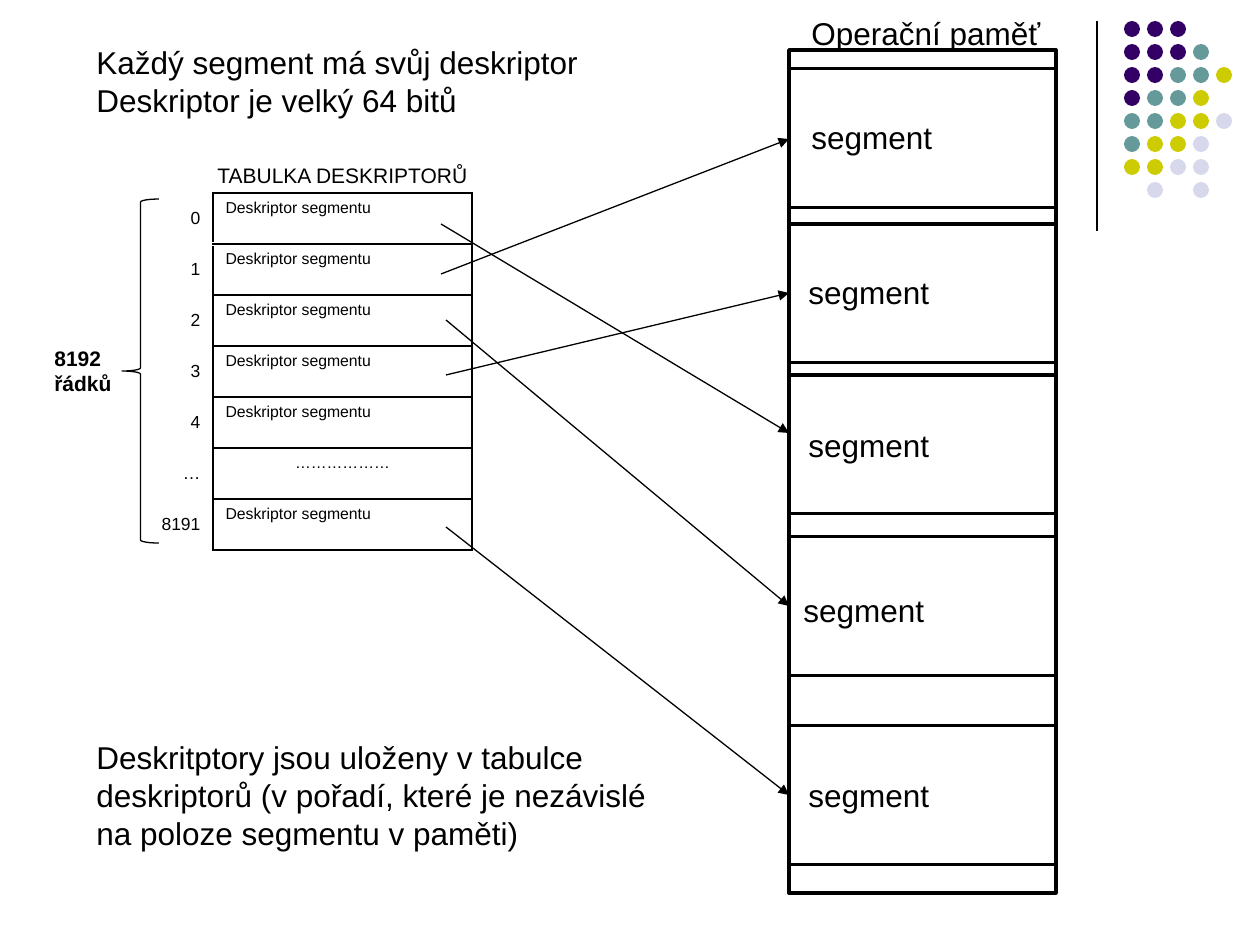
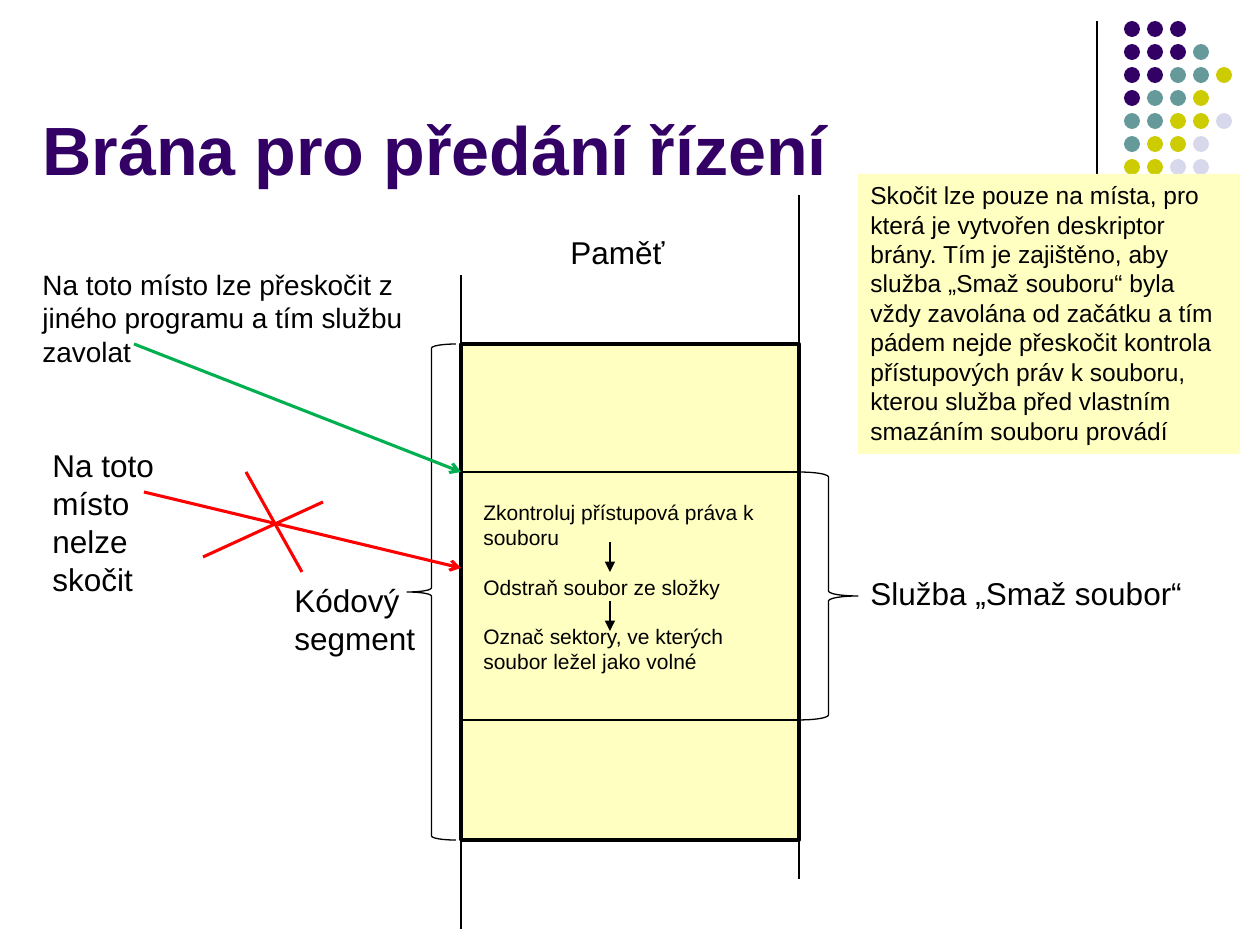
import pptx
import pptx.util
import pptx.dml.color
import pptx.enum.shapes
import pptx.enum.text
import pptx.oxml
import pptx.oxml.ns
from lxml import etree

EMU_PER_PX = 914400 / 126
FONT = "Arial"
COLORS = {
    "ink": "000000",
    "white": "FFFFFF",
    "violet": "330066",
    "teal": "669999",
    "lime": "CCCC00",
    "lilac": "D8D8EC",
    "cream": "FFFFC2",
    "green": "00B050",
    "red": "FF0000",
}
SHAPES = pptx.enum.shapes.MSO_SHAPE
ALIGN = pptx.enum.text.PP_ALIGN
ANCHOR = pptx.enum.text.MSO_ANCHOR
RGB = pptx.dml.color.RGBColor.from_string
qn = pptx.oxml.ns.qn
scale = lambda px: pptx.util.Emu(round(px * EMU_PER_PX))


def add_line(page, start, end, color="ink", width=0.75, head=None):
    line = page.shapes.add_connector(
        pptx.enum.shapes.MSO_CONNECTOR.STRAIGHT, *map(scale, start + end)
    )
    line.line.color.rgb = RGB(COLORS[color])
    line.line.width = pptx.util.Pt(width)
    if head:
        etree.SubElement(line.line._get_or_add_ln(), qn("a:tailEnd"), type=head)
    etree.SubElement(line._element.spPr, qn("a:effectLst"))


def add_box(page, area, lines=(), size=18, kind=None, fill=None, border=None,
            color="ink", bold=False, anchor=ANCHOR.TOP, gap=0):
    area = map(scale, area)
    if kind is None:
        box = page.shapes.add_textbox(*area)
    else:
        box = page.shapes.add_shape(kind, *area)
        box.shadow.inherit = False
        if fill:
            box.fill.solid()
            box.fill.fore_color.rgb = RGB(COLORS[fill])
        else:
            box.fill.background()
        if border:
            box.line.color.rgb = RGB(COLORS["ink"])
            box.line.width = pptx.util.Pt(border)
        else:
            box.line.fill.background()
    frame = box.text_frame
    frame.word_wrap = True
    frame.vertical_anchor = anchor
    for index, line in enumerate(lines):
        para = frame.add_paragraph() if index else frame.paragraphs[0]
        para.text = line
        para.alignment = ALIGN.LEFT
        if index and gap:
            para.space_before = pptx.util.Pt(gap)
        para.font.name = FONT
        para.font.size = pptx.util.Pt(size)
        para.font.bold = bold
        para.font.color.rgb = RGB(COLORS[color])


deck = pptx.Presentation()
deck.slide_width = scale(1260)
deck.slide_height = scale(945)
blank = deck.slide_layouts[6]
descriptor_page = deck.slides.add_slide(blank)
gate_page = deck.slides.add_slide(blank)

DOT_COLORS = {"v": "violet", "t": "teal", "l": "lime", "p": "lilac"}
DOT_ROWS = ["vvv", "vvvt", "vvttl", "vttl", "ttllp", "tllp", "llpp", " p p"]
DOT_PITCH = 23
for page, dot_rows in ((descriptor_page, DOT_ROWS), (gate_page, DOT_ROWS[:7])):
    add_line(page, (1097, 21), (1097, 231))
    for row, dots in enumerate(dot_rows):
        for column, dot in enumerate(dots):
            if dot in DOT_COLORS:
                area = (1124 + DOT_PITCH * column, 21 + DOT_PITCH * row, 16, 16)
                add_box(page, area, kind=SHAPES.OVAL, fill=DOT_COLORS[dot])

page = descriptor_page
MEMORY_LEFT, MEMORY_WIDTH = 789, 267
add_box(page, (MEMORY_LEFT, 50, MEMORY_WIDTH, 843), kind=SHAPES.RECTANGLE, border=2)
add_box(page, (799, 8, 358, 50), ["Operační paměť"])
segments = [
    (69, (799, 112)),
    (224, (796, 267)),
    (375, (796, 420)),
    (537, (791, 585)),
    (726, (796, 770)),
]
for top, label in segments:
    add_box(page, (MEMORY_LEFT, top, MEMORY_WIDTH, 139), kind=SHAPES.RECTANGLE, border=1.75)
    add_box(page, label + (277, 50), ["segment"])

add_box(page, (84, 37, 525, 89), ["Každý segment má svůj deskriptor", "Deskriptor je velký 64 bitů"])
add_box(page, (84, 732, 586, 127), [
    "Deskritptory jsou uloženy v tabulce deskriptorů (v pořadí, které je nezávislé na poloze segmentu v paměti)"
])
add_box(page, (205, 156, 299, 38), ["TABULKA DESKRIPTORŮ"], size=12)

row_numbers = ["0", "1", "2", "3", "4", "…", "8191"]
ROW_HEIGHT = 51
table = page.shapes.add_table(
    len(row_numbers), 2, *map(scale, (144, 193, 328, ROW_HEIGHT * len(row_numbers)))
).table
table.first_row = False
table.horz_banding = False
for column, width in zip(table.columns, (69, 259)):
    column.width = scale(width)
for row, number in enumerate(row_numbers):
    table.rows[row].height = scale(ROW_HEIGHT)
    skipped = number == "…"
    entry = "………………" if skipped else "Deskriptor segmentu"
    entry_align = ALIGN.CENTER if skipped else ALIGN.LEFT
    columns = [
        (number, 10, ALIGN.RIGHT, ANCHOR.MIDDLE, "white"),
        (entry, 9, entry_align, ANCHOR.TOP, "ink"),
    ]
    for column, (text, size, align, anchor, edge) in enumerate(columns):
        cell = table.cell(row, column)
        cell.text = text
        cell.vertical_anchor = anchor
        para = cell.text_frame.paragraphs[0]
        para.alignment = align
        para.font.name = FONT
        para.font.size = pptx.util.Pt(size)
        para.font.color.rgb = RGB(COLORS["ink"])
        for side in "LRTB":
            thick = row == 0 and column == 0 and side == "B"
            border = etree.SubElement(
                cell._tc.get_or_add_tcPr(), qn(f"a:ln{side}"),
                w=str(pptx.util.Pt(3 if thick else 1)),
            )
            solid = etree.SubElement(border, qn("a:solidFill"))
            side_color = COLORS["ink" if side == "R" else edge]
            etree.SubElement(solid, qn("a:srgbClr"), val=side_color)
        cell.fill.background()

pointers = [
    ((441, 224), 433),
    ((441, 274), 139),
    ((446, 320), 606),
    ((446, 375), 293),
    ((446, 527), 795),
]
for start, target in pointers:
    add_line(page, start, (MEMORY_LEFT, target), head="triangle")
add_box(page, (122, 199, 37, 344), kind=SHAPES.LEFT_BRACE, border=0.75)
add_box(page, (42, 339, 112, 64), ["8192", "řádků"], size=12, bold=True)

page = gate_page
CODE_LEFT, CODE_RIGHT, CODE_TOP, CODE_HEIGHT = 461, 799, 344, 496
SERVICE_TOP, SERVICE_BOTTOM = 472, 720
add_box(page, (30, 16, 1040, 179), ["Brána pro předání řízení"], size=39,
        color="violet", bold=True, anchor=ANCHOR.BOTTOM)
add_line(page, (CODE_LEFT, 275), (CODE_LEFT, 929))
add_line(page, (CODE_RIGHT, 195), (CODE_RIGHT, 879))
add_box(page, (CODE_LEFT, CODE_TOP, CODE_RIGHT - CODE_LEFT, CODE_HEIGHT),
        kind=SHAPES.RECTANGLE, fill="cream", border=2)
for edge in (SERVICE_TOP, SERVICE_BOTTOM):
    add_line(page, (CODE_LEFT, edge), (CODE_RIGHT, edge))
add_box(page, (471, 493, 318, 190), [
    "Zkontroluj přístupová práva k souboru",
    "Odstraň soubor ze složky",
    "Označ sektory, ve kterých soubor ležel jako volné",
], size=12, gap=14)
for top in (542, 601):
    add_line(page, (610, top), (610, top + 30), head="triangle")
add_box(page, (CODE_RIGHT, SERVICE_TOP, 59, SERVICE_BOTTOM - SERVICE_TOP),
        kind=SHAPES.RIGHT_BRACE, border=0.75)
add_box(page, (407, CODE_TOP, 49, CODE_HEIGHT), kind=SHAPES.LEFT_BRACE, border=0.75)
add_line(page, (134, 344), (CODE_LEFT, SERVICE_TOP), "green", 1.75, "arrow")
add_line(page, (144, 492), (CODE_LEFT, 568), "red", 1.75, "arrow")
for start, end in (((203, 557), (323, 502)), ((246, 472), (302, 572))):
    add_line(page, start, end, "red", 1.75)

add_box(page, (30, 261, 432, 115), [
    "Na toto místo lze přeskočit z jiného programu a tím službu zavolat"
], size=16)
labels = [
    ((858, 568, 350, 50), "Služba „Smaž soubor“"),
    ((40, 440, 183, 165), "Na toto místo nelze skočit"),
    ((282, 575, 193, 89), "Kódový segment"),
    ((558, 227, 144, 50), "Paměť"),
]
for area, label in labels:
    add_box(page, area, [label])
add_box(page, (858, 174, 382, 280), [
    "Skočit lze pouze na místa, pro která je vytvořen deskriptor brány. "
    "Tím je zajištěno, aby služba „Smaž souboru“ byla vždy zavolána od začátku "
    "a tím pádem nejde přeskočit kontrola přístupových práv k souboru, "
    "kterou služba před vlastním smazáním souboru provádí"
], size=14, kind=SHAPES.RECTANGLE, fill="cream")

deck.save("out.pptx")
